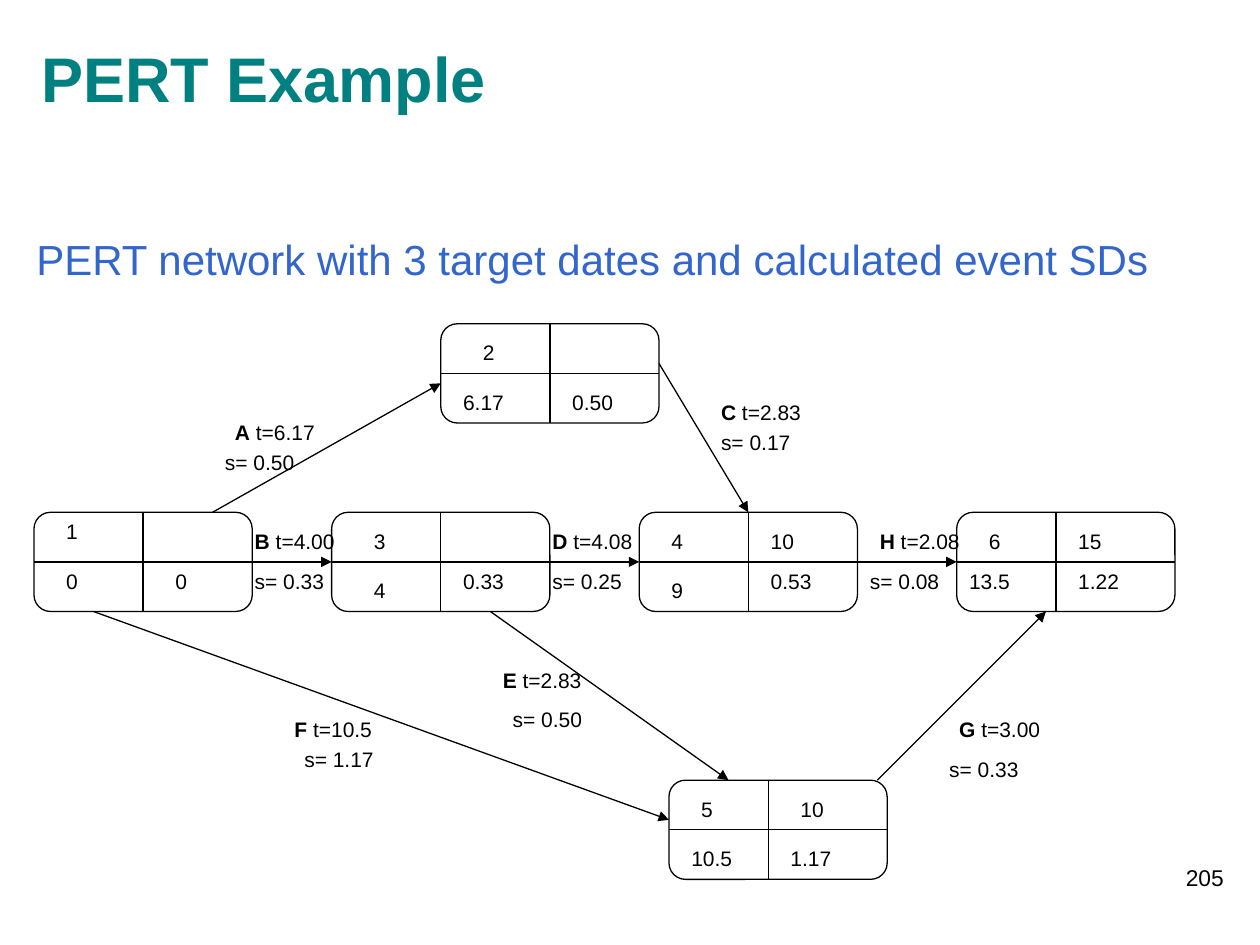
import pptx
import pptx.util
import pptx.dml.color
import pptx.enum.shapes
import pptx.enum.text
import pptx.oxml.ns
import lxml.etree

RGB = pptx.dml.color.RGBColor
SHAPE = pptx.enum.shapes.MSO_SHAPE
ALIGN = pptx.enum.text.PP_ALIGN
ANCHOR = pptx.enum.text.MSO_ANCHOR
FIT = pptx.enum.text.MSO_AUTO_SIZE

TEAL = RGB(0x00, 0x80, 0x80)
BLUE = RGB(0x33, 0x66, 0xCC)
BLACK = RGB(0x00, 0x00, 0x00)

WIDE = pptx.util.Inches(10)
HIGH = pptx.util.Inches(7.5)
UNIT = pptx.util.Mm(2)
LEFT = pptx.util.Inches(0.27)
TOP = pptx.util.Inches(2.57)
SPAN, TALL = 22, 10  # event box, in grid units

# column, row, split column, then (text, column, row) inside the box
EVENTS = [
    (0, 19, 11, [("1", 2, 0), ("0", 2, 5), ("0", 13, 5)]),
    (41, 0, 11, [("2", 3, 1), ("6.17", 1, 6), ("0.50", 12, 6)]),
    (30, 19, 11, [("3", 3, 1), ("4", 3, 6), ("0.33", 12, 5)]),
    (61, 19, 11, [("4", 2, 1), ("10", 12, 1), ("9", 2, 6), ("0.53", 12, 5)]),
    (64, 46, 10, [("5", 2, 1), ("10", 12, 1), ("10.5", 1, 6), ("1.17", 11, 6)]),
    (93, 19, 10, [("6", 2, 1), ("15", 11, 1), ("13.5", 0, 5), ("1.22", 11, 5)]),
]

# name, time, deviation, start, end, place of time, place of deviation
TASKS = [
    ("A", "6.17", "0.50", (18, 19), (41, 6), (19, 9), (18, 12)),
    ("B", "4.00", "0.33", (22, 24), (30, 24), (21, 20), (21, 24)),
    ("C", "2.83", "0.17", (63, 4), (72, 19), (68, 7), (68, 10)),
    ("D", "4.08", "0.25", (52, 24), (61, 24), (51, 20), (51, 24)),
    ("E", "2.83", "0.50", (46, 29), (70, 46), (46, 34), (47, 38)),
    ("F", "10.5", "1.17", (6, 29), (64, 50), (25, 39), (26, 42)),
    ("G", "3.00", "0.33", (85, 46), (102, 29), (92, 39), (91, 43)),
    ("H", "2.08", "0.08", (83, 24), (93, 24), (84, 20), (83, 24)),
]


def share(x, y, w, h):
    """Box from percentages of the slide's width and height."""
    return (int(WIDE * x / 100), int(HIGH * y / 100),
            int(WIDE * w / 100), int(HIGH * h / 100))


def spot(col, row):
    """Point on the network grid."""
    return LEFT + col * UNIT, TOP + row * UNIT


def write(frame, runs, size, color, align=ALIGN.LEFT):
    """Fill a frame with one paragraph of (text, bold) runs."""
    frame.word_wrap = True
    frame.auto_size = FIT.NONE
    para = frame.paragraphs[0]
    para.alignment = align
    for text, bold in runs:
        run = para.add_run()
        run.text = text
        font = run.font
        font.name = "Arial"
        font.size = pptx.util.Pt(size)
        font.bold = bold
        font.color.rgb = color


def add_text(slide, box, runs, size, color, align=ALIGN.LEFT):
    write(slide.shapes.add_textbox(*box).text_frame, runs, size, color, align)


def add_note(slide, col, row, cols, runs):
    """Small text on the network grid."""
    add_text(slide, (*spot(col, row), cols * UNIT, pptx.util.Inches(0.3)),
             runs, 12, BLACK)


def add_line(slide, start, end, arrow=False):
    line = slide.shapes.add_connector(
        pptx.enum.shapes.MSO_CONNECTOR.STRAIGHT, *spot(*start), *spot(*end))
    line.line.color.rgb = BLACK
    line.line.width = pptx.util.Pt(0.75)
    if arrow:
        lxml.etree.SubElement(line.line._get_or_add_ln(),
                              pptx.oxml.ns.qn("a:tailEnd"), type="triangle")
    lxml.etree.SubElement(line._element.spPr, pptx.oxml.ns.qn("a:effectLst"))


def add_event(slide, col, row, split, cells):
    """Rounded box in four fields, with its numbers."""
    box = slide.shapes.add_shape(SHAPE.FLOWCHART_ALTERNATE_PROCESS,
                                 *spot(col, row), SPAN * UNIT, TALL * UNIT)
    box.shadow.inherit = False
    box.fill.background()
    box.line.color.rgb = BLACK
    box.line.width = pptx.util.Pt(0.75)
    mid = row + TALL // 2
    add_line(slide, (col + split, row), (col + split, row + TALL))
    add_line(slide, (col, mid), (col + SPAN, mid))
    for text, x, y in cells:
        cols = 6 if len(text) == 1 else 9
        add_note(slide, col + x, row + y, cols, [(text, False)])


def add_task(slide, name, time, dev, start, end, first, second):
    """Arrow between two events, with its time and deviation."""
    add_line(slide, start, end, arrow=True)
    add_note(slide, *first, 17, [(name, True), (f" t={time}", False)])
    add_note(slide, *second, 17, [(f"s= {dev}", False)])


def add_head(slide, box):
    title = slide.shapes.title
    title.left, title.top, title.width, title.height = box
    title.text_frame.vertical_anchor = ANCHOR.MIDDLE
    write(title.text_frame, [("PERT Example", True)], 36, TEAL)


def main():
    deck = pptx.Presentation()
    deck.slide_width, deck.slide_height = WIDE, HIGH
    slide = deck.slides.add_slide(deck.slide_layouts[5])
    add_head(slide, share(2.3, 2, 80.3, 12.4))
    add_text(slide, share(1.9, 24.1, 96.1, 64.3),
             [("PERT network with 3 target dates and calculated event SDs",
               False)], 24, BLUE)
    for event in EVENTS:
        add_event(slide, *event)
    for task in TASKS:
        add_task(slide, *task)
    add_text(slide, share(77.3, 90.7, 20.8, 6.7), [("205", False)], 13, BLACK,
             ALIGN.RIGHT)
    deck.save("out.pptx")


if __name__ == "__main__":
    main()
